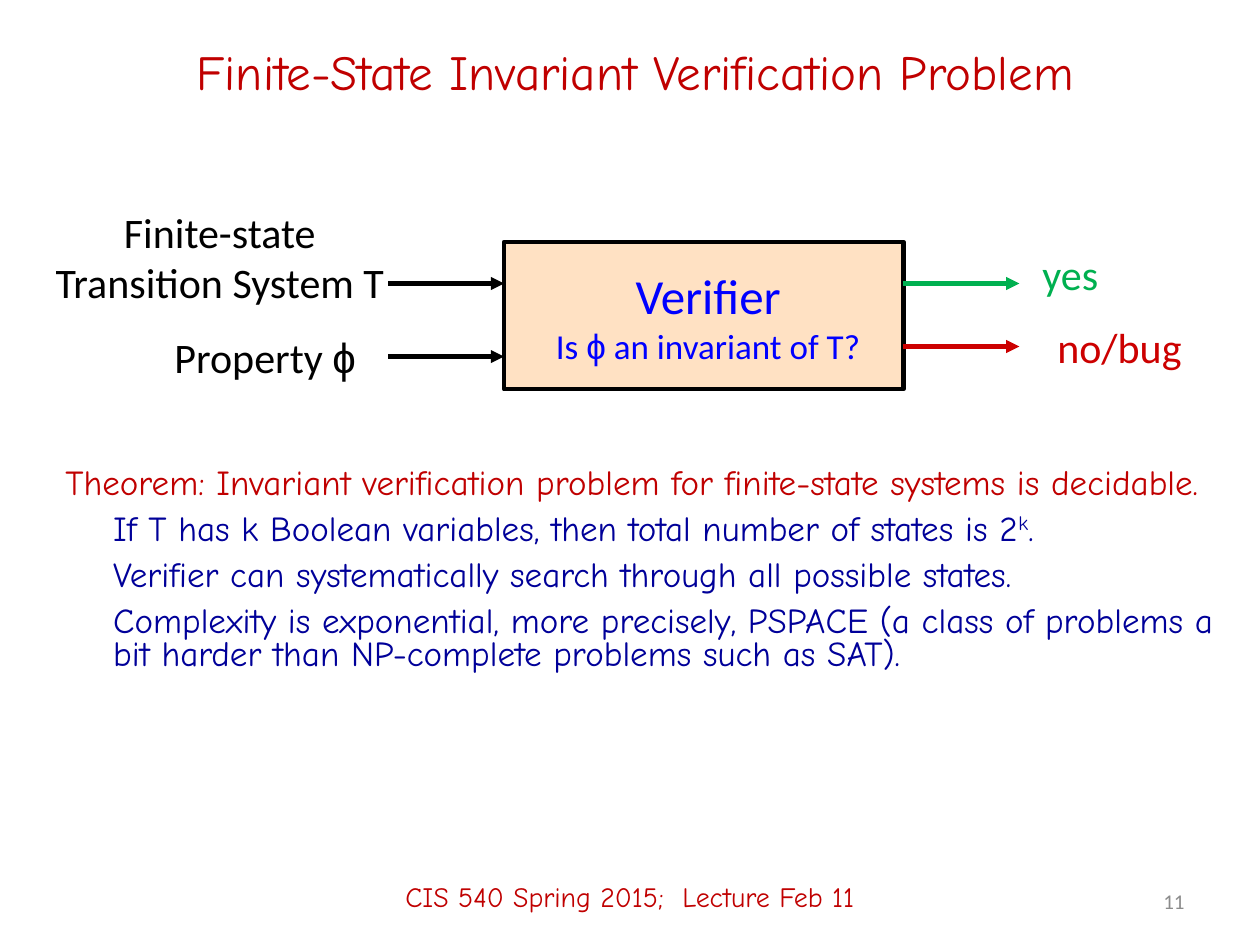
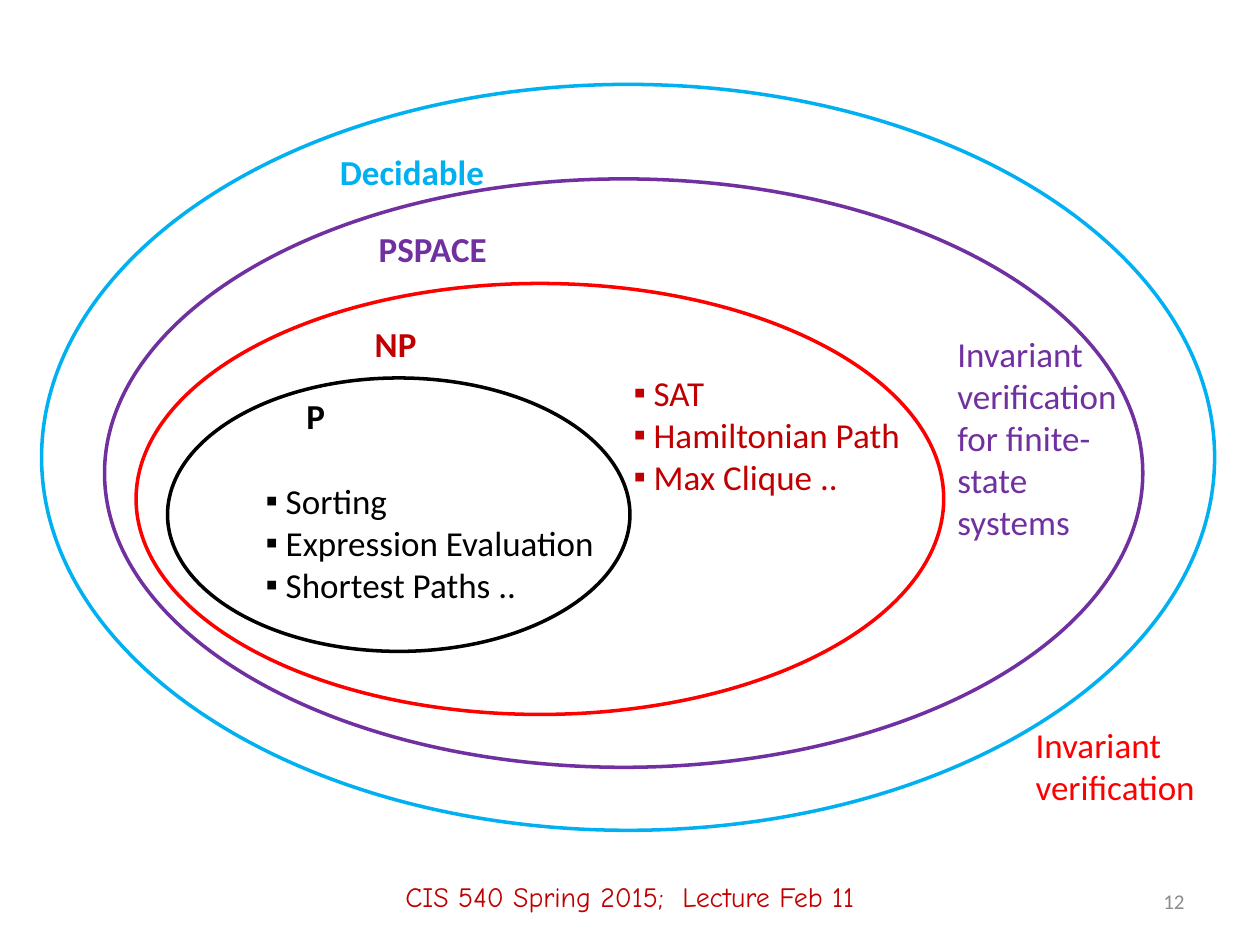
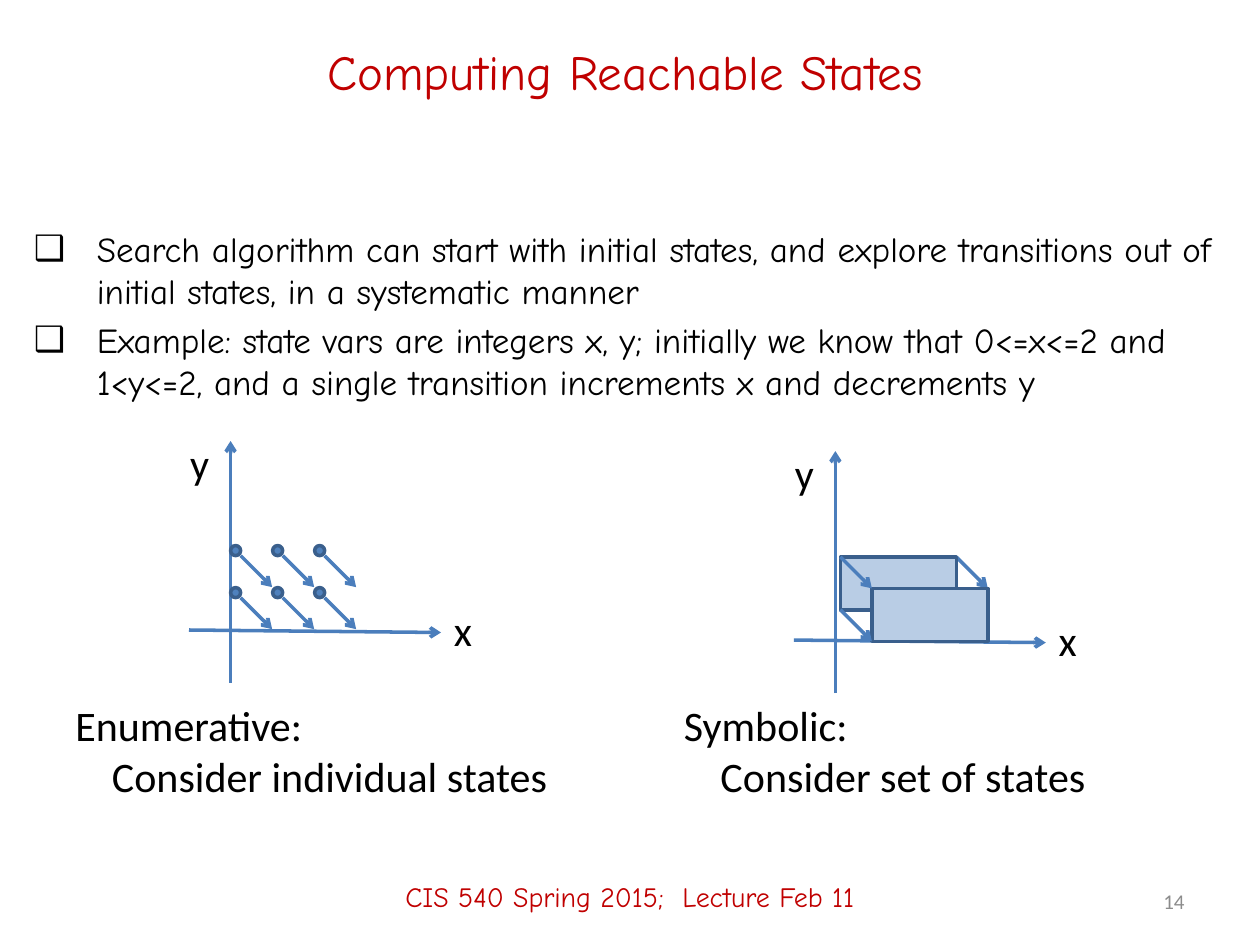
from dataclasses import dataclass

from lxml import etree
from pptx import Presentation
from pptx.dml.color import RGBColor
from pptx.enum.shapes import MSO_CONNECTOR, MSO_SHAPE
from pptx.enum.text import MSO_ANCHOR, PP_ALIGN
from pptx.oxml.ns import qn
from pptx.util import Inches, Pt

LEFT, CENTER, RIGHT = PP_ALIGN.LEFT, PP_ALIGN.CENTER, PP_ALIGN.RIGHT
TOP, MIDDLE = MSO_ANCHOR.TOP, MSO_ANCHOR.MIDDLE
RECTANGLE, OVAL = MSO_SHAPE.RECTANGLE, MSO_SHAPE.OVAL
STRAIGHT = MSO_CONNECTOR.STRAIGHT


@dataclass(frozen=True)
class Theme:
    heading_font: str = "Comic Neue"
    body_font: str = "Calibri"
    symbol_font: str = "Arial"
    title_size: int = 28
    label_size: int = 24
    text_size: int = 20
    footer_size: int = 16
    number_size: int = 12
    black: str = "000000"
    heading: str = "C00000"
    navy: str = "000099"
    verifier: str = "0000FF"
    verifier_fill: str = "FFCC99"
    green: str = "00B050"
    bug: str = "CC0000"
    red: str = "FF0000"
    purple: str = "7030A0"
    sky: str = "00B0F0"
    gray: str = "8C8C8C"
    axis: str = "4B7EBC"
    outline: str = "3A5F8C"
    dot: str = "4F81BD"
    region: str = "B9CDE5"


THEME = Theme()


@dataclass
class Line:
    """One paragraph of text; unset values fall back to the theme."""
    text: str
    size: int = THEME.text_size
    color: str = THEME.black
    font: str = THEME.body_font
    bold: bool = False
    align: int = LEFT
    margin: float = 0
    bullet: str = ""
    space_before: float = 0
    spacing: float = 1
    superscript: str = ""
    ending: str = ""


# Shared helpers

def color_of(value):
    return RGBColor.from_string(value)


def add_runs(paragraph, line):
    """Write the text, giving the symbol ϕ its own font."""
    before, symbol, after = line.text.partition("ϕ")
    for text in filter(None, (before, symbol, after)):
        run = paragraph.add_run()
        run.text = text
        if text == "ϕ":
            run.font.name = THEME.symbol_font
    if line.superscript:
        raised = paragraph.add_run()
        raised.text = line.superscript
        raised.font._element.set("baseline", "30000")
        paragraph.add_run().text = line.ending


def format_paragraph(paragraph, line):
    properties = paragraph._p.get_or_add_pPr()
    if line.margin:
        properties.set("marL", str(Inches(line.margin)))
    if line.bullet:
        properties.set("indent", str(-Inches(line.margin)))
        etree.SubElement(properties, qn("a:buFont"), typeface=THEME.symbol_font)
        etree.SubElement(properties, qn("a:buChar"), char=line.bullet)
    paragraph.alignment = line.align
    if line.spacing != 1:
        paragraph.line_spacing = line.spacing
    if line.space_before:
        paragraph.space_before = Pt(line.space_before)
    font = paragraph.font
    font.name, font.size, font.bold = line.font, Pt(line.size), line.bold
    font.color.rgb = color_of(line.color)


def add_text(slide, box, lines, anchor=MIDDLE, wrap=True):
    shape = slide.shapes.add_textbox(*map(Inches, box))
    frame = shape.text_frame
    frame.word_wrap, frame.vertical_anchor = wrap, anchor
    for index, line in enumerate(lines):
        paragraph = frame.add_paragraph() if index else frame.paragraphs[0]
        add_runs(paragraph, line)
        format_paragraph(paragraph, line)


def add_label(slide, box, *texts, size=THEME.label_size, color=THEME.black, bold=False):
    lines = [Line(text, size, color, bold=bold, align=CENTER) for text in texts]
    add_text(slide, box, lines, wrap=False)


def add_outline(slide, kind, box, line_color, width=2, fill=None, opacity=None):
    shape = slide.shapes.add_shape(kind, *map(Inches, box))
    shape.shadow.inherit = False
    shape.line.color.rgb, shape.line.width = color_of(line_color), Pt(width)
    if fill is None:
        shape.fill.background()
        return
    shape.fill.solid()
    shape.fill.fore_color.rgb = color_of(fill)
    if opacity:
        color = shape._element.spPr.find(qn("a:solidFill"))[0]
        etree.SubElement(color, qn("a:alpha"), val=str(opacity * 1000))


def add_arrow(slide, start, end, color=THEME.axis, width=2, head="arrow"):
    arrow = slide.shapes.add_connector(STRAIGHT, *map(Inches, (*start, *end)))
    arrow.line.color.rgb, arrow.line.width = color_of(color), Pt(width)
    etree.SubElement(arrow.line._get_or_add_ln(), qn("a:tailEnd"), type=head)
    etree.SubElement(arrow._element.spPr, qn("a:effectLst"))


def add_title(slide, text, left):
    add_text(slide, (left, 0.17, 8.58, 0.78), [
        Line(text, THEME.title_size, THEME.heading, THEME.heading_font, align=CENTER)])


def add_footer(slide, number):
    add_text(slide, (0, 6.72, 10, 0.78), [
        Line("CIS 540 Spring 2015;  Lecture Feb 11", THEME.footer_size,
             THEME.heading, THEME.heading_font, align=CENTER)])
    add_text(slide, (7.17, 6.95, 2.33, 0.4), [
        Line(str(number), THEME.number_size, THEME.gray, align=RIGHT)])


# Slide 1: verification problem

def add_verifier(slide, left, top, width, height):
    """Verifier box with its inputs on the left and answers on the right."""
    add_outline(slide, RECTANGLE, (left, top, width, height), THEME.black, 2.5,
                THEME.verifier_fill, opacity=58)
    right, reach = left + width, 0.92
    for start, offset, color in [
        (left - reach, 0.33, THEME.black),
        (left - reach, 0.91, THEME.black),
        (right, 0.33, THEME.green),
        (right, 0.83, THEME.bug),
    ]:
        y = top + offset
        add_arrow(slide, (start, y), (start + reach, y), color, 2.5, "triangle")

    add_label(slide, (left - 3.67, top - 0.34, 2.83, 0.91),
              "Finite-state", "Transition System T")
    add_label(slide, (left - 2.73, top + 0.66, 1.67, 0.5), "Property ϕ")
    add_label(slide, (right + 1, top, 0.65, 0.5), "yes", color=THEME.green)
    add_label(slide, (right + 1.08, top + 0.58, 1.27, 0.5), "no/bug", color=THEME.bug)
    add_text(slide, (left - 0.17, top, width + 0.41, height), [
        Line("Verifier", THEME.title_size, THEME.verifier, align=CENTER),
        Line("Is ϕ an invariant of T?", color=THEME.verifier, align=CENTER)])


def add_theorem(slide, box):
    detail = {"color": THEME.navy, "font": THEME.heading_font, "margin": 0.38,
              "space_before": 7, "spacing": 0.8}
    add_text(slide, box, [
        Line("Theorem: Invariant verification problem for finite-state systems is decidable.",
             color=THEME.heading, font=THEME.heading_font, spacing=0.8),
        Line("If T has k Boolean variables, then total number of states is 2",
             superscript="k", ending=".", **detail),
        Line("Verifier can systematically search through all possible states.", **detail),
        Line("Complexity is exponential, more precisely, PSPACE (a class of problems a bit "
             "harder than NP-complete problems such as SAT).", **detail),
    ], anchor=TOP)


def build_problem_slide(slide):
    add_title(slide, "Finite-State Invariant Verification Problem", 0.75)
    add_verifier(slide, 4, 1.92, 3.17, 1.17)
    add_theorem(slide, (0.42, 3.67, 9.58, 2.58))
    add_footer(slide, 11)


# Slide 2: nested complexity classes

def add_class(slide, ellipse, name, name_box, examples, examples_box,
              line_color, name_color, text_color, bullet=""):
    """One complexity class: its name, its ellipse and its example problems."""
    add_label(slide, name_box, name, size=THEME.text_size, color=name_color, bold=True)
    add_outline(slide, OVAL, ellipse, line_color)
    margin = 0.16 if bullet else 0
    add_text(slide, examples_box, [
        Line(text, color=text_color, margin=margin, bullet=bullet) for text in examples])


def build_classes_slide(slide):
    add_class(slide, (1.33, 3, 3.67, 2.17), "P", (2.33, 3.08, 0.35, 0.44),
              ["Sorting", "Expression Evaluation", "Shortest Paths .."],
              (2.01, 3.75, 2.86, 1.11), THEME.black, THEME.black, THEME.black, "▪")
    add_class(slide, (1.08, 2.25, 6.41, 3.42), "NP", (2.67, 2.38, 0.94, 0.69),
              ["SAT", "Hamiltonian Path", "Max Clique .."],
              (4.93, 2.86, 2.74, 1.17), THEME.red, THEME.heading, THEME.heading, "▪")
    add_class(slide, (0.83, 1.42, 8.24, 4.67), "PSPACE", (2.75, 1.67, 1.37, 0.6),
              ["Invariant verification for finite-state systems"],
              (7.5, 2.58, 1.67, 1.78), THEME.purple, THEME.purple, THEME.purple)
    add_class(slide, (0.33, 0.67, 9.31, 5.92), "Decidable", (2.59, 1.14, 1.36, 0.44),
              ["Invariant verification"],
              (8.12, 5.69, 1.88, 0.77), THEME.sky, THEME.sky, THEME.red)
    add_footer(slide, 12)


# Slide 3: reachable states

STEP = 0.25  # length of a transition along each axis


def add_transition(slide, x, y):
    add_arrow(slide, (x, y), (x + STEP, y + STEP))


def add_axes(slide, left, top):
    add_arrow(slide, (left + 0.09, top + 1.58), (left + 2.09, top + 1.6))
    add_arrow(slide, (left + 0.42, top + 2), (left + 0.42, top + 0.08))
    add_label(slide, (left + 2.09, top + 1.33, 0.35, 0.5), "x")
    add_label(slide, (left, top, 0.35, 0.5), "y")


def add_enumerative_plot(slide, left, top):
    add_axes(slide, left, top)
    gap, size = 1 / 3, 0.08
    dots = [(left + 0.42 + column * gap, top + 0.91 + row * gap)
            for row in range(2) for column in range(3)]
    for x, y in dots:
        add_outline(slide, OVAL, (x, y, size, size), THEME.outline, fill=THEME.dot)
    for x, y in dots:
        add_transition(slide, x + size, y + size)


def add_symbolic_plot(slide, left, top):
    add_axes(slide, left, top)
    x, y, width, height = left + 0.46, top + 0.92, 0.92, 0.42
    add_transition(slide, x + width, y)
    for shift in (0, STEP):
        add_outline(slide, RECTANGLE, (x + shift, y + shift, width, height),
                    THEME.outline, fill=THEME.region)
    add_transition(slide, x, y + height)
    add_transition(slide, x, y)


def add_caption(slide, left, heading, detail):
    add_text(slide, (left, 5.5, 4, 0.91), [
        Line(heading, THEME.label_size),
        Line(detail, THEME.label_size, margin=0.29)])


def build_reachable_slide(slide):
    add_title(slide, "Computing Reachable States", 0.67)
    point = {"font": THEME.heading_font, "margin": 0.5, "bullet": "❑"}
    add_text(slide, (0.17, 1.76, 9.67, 1.57), [
        Line("Search algorithm can start with initial states, and explore transitions out "
             "of initial states, in a systematic manner", **point),
        Line("Example: state vars are integers x, y; initially we know that 0<=x<=2 and "
             "1<y<=2, and a single transition increments x and decrements y",
             space_before=4, **point),
    ], anchor=TOP)
    add_enumerative_plot(slide, 1.41, 3.42)
    add_caption(slide, 0.5, "Enumerative:", "Consider individual states")
    add_symbolic_plot(slide, 6.21, 3.5)
    add_caption(slide, 5.33, "Symbolic:", "Consider set of states")
    add_footer(slide, 14)


def main():
    presentation = Presentation()
    presentation.slide_width, presentation.slide_height = Inches(10), Inches(7.5)
    blank = presentation.slide_layouts[6]
    for build in (build_problem_slide, build_classes_slide, build_reachable_slide):
        build(presentation.slides.add_slide(blank))
    presentation.save("out.pptx")


if __name__ == "__main__":
    main()
